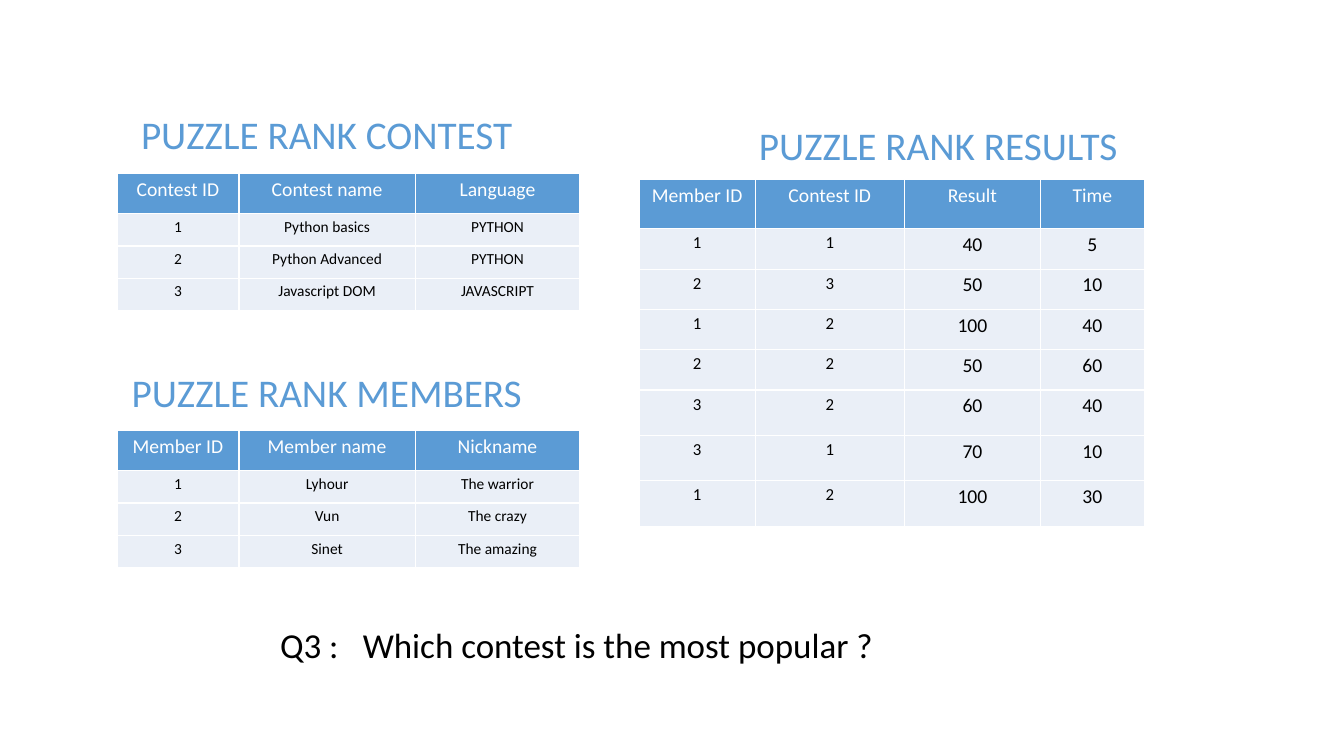
from pptx import Presentation
from pptx.dml.color import RGBColor
from pptx.enum import text
from pptx.oxml import parse_xml
from pptx.oxml.ns import nsdecls
from pptx.util import Inches, Pt


class Deck:
    """Holds the style and the current slide, and adds titles, tables and text."""

    FONT = "Calibri"
    BLUE, PALE, WHITE, BLACK = "5B9BD5", "EAEFF7", "FFFFFF", "000000"

    def __init__(self, width, height):
        self.prs = Presentation()
        self.prs.slide_width, self.prs.slide_height = Inches(width), Inches(height)
        self.s = self.prs.slides.add_slide(self.prs.slide_layouts[6])

    def color(self, value):
        return RGBColor.from_string(value)

    def style(self, p, size, color, align):
        p.alignment = align
        for r in p.runs:
            r.font.name = self.FONT
            r.font.size = Pt(size)
            r.font.bold = False
            r.font.color.rgb = self.color(color)

    def box(self, words, at, size, color, align, wrap=True):
        sp = self.s.shapes.add_textbox(*map(Inches, at))
        tf = sp.text_frame
        tf.text = words
        tf.word_wrap = wrap
        tf.auto_size = text.MSO_AUTO_SIZE.SHAPE_TO_FIT_TEXT
        p = tf.paragraphs[0]
        self.style(p, size, color, align)
        return p

    def title(self, words, left, top, width):
        self.box(words, (left, top, width, 0.57), 28, self.BLUE, text.PP_ALIGN.CENTER)

    def question(self, label, words, at, tab):
        p = self.box(f"{label}\t{words}", at, 25, self.BLACK, text.PP_ALIGN.LEFT, wrap=False)
        stops = f'<a:tabLst {nsdecls("a")}><a:tab pos="{Inches(tab)}" algn="l"/></a:tabLst>'
        p._p.get_or_add_pPr().append(parse_xml(stops))

    def table(self, rows, left, top, widths, heights, sizes):
        frame = self.s.shapes.add_table(
            len(rows), len(widths), Inches(left), Inches(top),
            Inches(sum(widths)), Inches(sum(heights)))
        table = frame.table
        table.horz_banding = False
        for column, width in zip(table.columns, widths):
            column.width = Inches(width)
        for i, (row, height) in enumerate(zip(rows, heights)):
            table.rows[i].height = Inches(height)
            for j, words in enumerate(row):
                cell = table.cell(i, j)
                cell.text = words
                cell.margin_left = cell.margin_right = Inches(0.08)
                cell.margin_top = cell.margin_bottom = Inches(0.04)
                cell.fill.solid()
                cell.fill.fore_color.rgb = self.color(self.PALE if i else self.BLUE)
                size, color = (sizes[j], self.BLACK) if i else (14, self.WHITE)
                self.style(cell.text_frame.paragraphs[0], size, color, text.PP_ALIGN.CENTER)


RESULTS = [
    ("Member ID", "Contest ID", "Result", "Time"),
    ("1", "1", "40", "5"),
    ("2", "3", "50", "10"),
    ("1", "2", "100", "40"),
    ("2", "2", "50", "60"),
    ("3", "2", "60", "40"),
    ("3", "1", "70", "10"),
    ("1", "2", "100", "30"),
]
CONTESTS = [
    ("Contest ID", "Contest name", "Language"),
    ("1", "Python basics", "PYTHON"),
    ("2", "Python Advanced", "PYTHON"),
    ("3", "Javascript DOM", "JAVASCRIPT"),
]
MEMBERS = [
    ("Member ID", "Member name", "Nickname"),
    ("1", "Lyhour", "The warrior"),
    ("2", "Vun", "The crazy"),
    ("3", "Sinet", "The amazing"),
]


def main():
    deck = Deck(13.33, 7.5)
    deck.table(RESULTS, 6.34, 1.78, [1.15, 1.48, 1.35, 1.03],
               [0.49] + [0.4] * 4 + [0.45] * 3, [12, 12, 14, 14])
    deck.title("PUZZLE RANK RESULTS", 6.25, 1.15, 6.11)
    for name, rows, top in (("CONTEST", CONTESTS, 1.05), ("MEMBERS", MEMBERS, 3.6)):
        deck.table(rows, 1.16, top + 0.67, [1.21, 1.75, 1.63],
                   [0.4] + [0.32] * 3, [11] * 3)
        deck.title(f"PUZZLE RANK {name}", 0.96, top, 4.56)
    deck.question("Q3 :", "Which contest is the most popular ?", (2.68, 6.14, 6.14, 0.52), 0.82)
    deck.prs.save("out.pptx")


if __name__ == "__main__":
    main()
